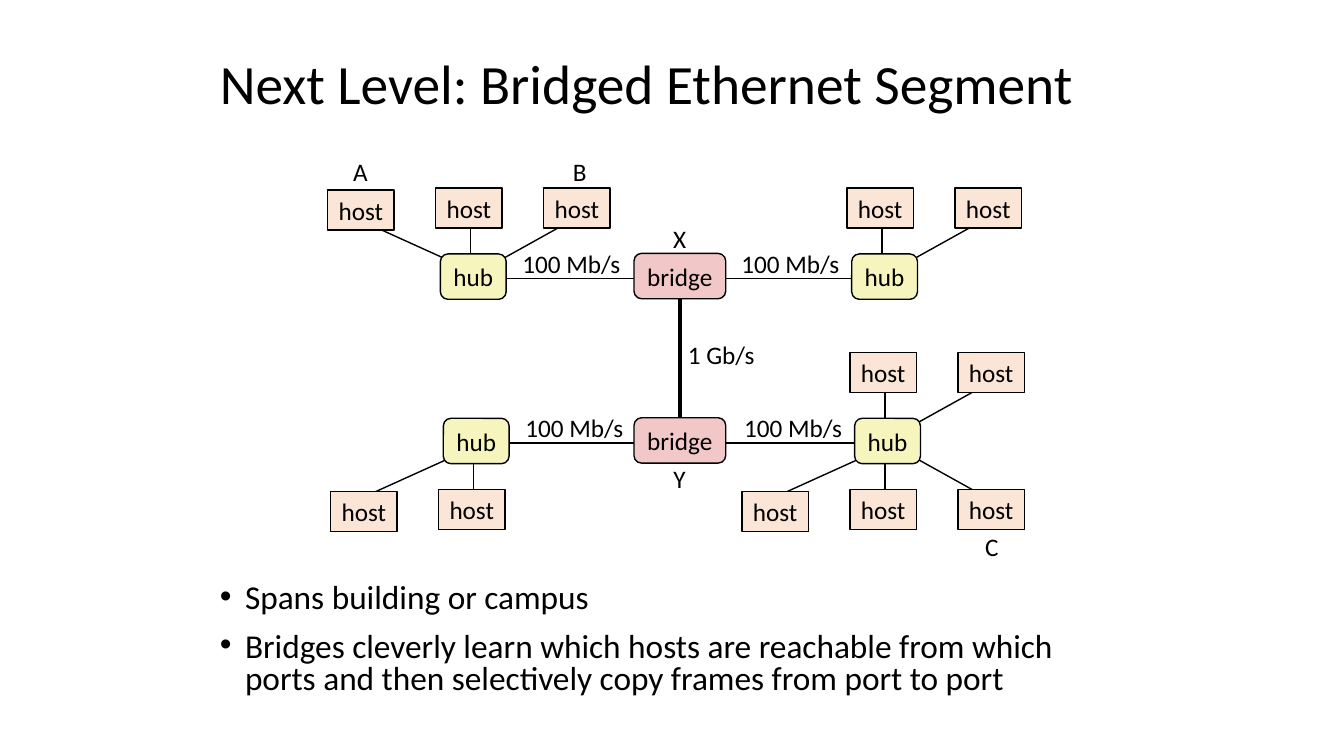
from pptx import Presentation
from pptx.dml.color import RGBColor
from pptx.enum.shapes import MSO_CONNECTOR, MSO_SHAPE
from pptx.enum.text import MSO_ANCHOR, MSO_AUTO_SIZE, PP_ALIGN
from pptx.oxml.ns import qn
from pptx.util import Pt
from lxml.etree import SubElement

BLACK = "000000"
HOST_FILL, HUB_FILL, BRIDGE_FILL = "FBE5D6", "F6F5BD", "F1C7C7"
HOST_SIZE, HUB_SIZE, BRIDGE_SIZE = (47.5, 28.8), (47, 32.4), (65.5, 32.4)
COLUMNS = {"left": (-80.3, -80.3, -14), "middle": (-3.2, -1.9, -1.9), "right": (74, 70, 16)}
HOST_DROP, LINK_START, LINK_END = 49, 40, 10


def color(hex_code):
    return RGBColor.from_string(hex_code)


def write(frame, text, size=18, align=PP_ALIGN.CENTER, anchor=MSO_ANCHOR.MIDDLE,
          wrap=False, spacing=(1,), before=(0,), indent=0):
    frame.word_wrap = wrap
    frame.auto_size = MSO_AUTO_SIZE.NONE
    frame.vertical_anchor = anchor
    frame.text = text
    for paragraph, line_spacing, gap in zip(frame.paragraphs, spacing, before):
        properties = paragraph._p.get_or_add_pPr()
        properties.set("marL", str(Pt(indent)))
        properties.set("indent", str(-Pt(indent)))
        paragraph.alignment = align
        paragraph.line_spacing = line_spacing
        paragraph.space_before = Pt(gap)
        paragraph.font.name = "Calibri"
        paragraph.font.size = Pt(size)
        paragraph.font.color.rgb = color(BLACK)


def place(item, left, top, width, height):
    item.left, item.top, item.width, item.height = map(Pt, (left, top, width, height))


def add_title(slide, box, text):
    place(slide.shapes.title, *box)
    write(slide.shapes.title.text_frame, text, size=39.6, align=PP_ALIGN.LEFT,
          wrap=True, spacing=(0.9,))


def add_points(slide, box, points):
    body = slide.placeholders[1]
    place(body, *box)
    write(body.text_frame, "\n".join(points), size=23.8, align=PP_ALIGN.LEFT,
          anchor=MSO_ANCHOR.TOP, wrap=True, spacing=(0.75, 0.8), before=(0, 12), indent=18)


def add_link(slide, x1, y1, x2, y2, weight=1):
    link = slide.shapes.add_connector(MSO_CONNECTOR.STRAIGHT, Pt(x1), Pt(y1), Pt(x2), Pt(y2))
    link.line.color.rgb = color(BLACK)
    link.line.width = Pt(weight)
    SubElement(link._element.spPr, qn("a:effectLst"))


def add_label(slide, x, y, text, width=24):
    label = slide.shapes.add_textbox(Pt(x - width / 2), Pt(y - 14.4), Pt(width), Pt(28.8))
    write(label.text_frame, text)


def add_device(slide, x, y, name, size, fill, preset=MSO_SHAPE.ROUNDED_RECTANGLE):
    width, height = size
    device = slide.shapes.add_shape(preset, Pt(x - width / 2), Pt(y - height / 2),
                                    Pt(width), Pt(height))
    if preset == MSO_SHAPE.ROUNDED_RECTANGLE:
        device.adjustments[0] = 0.167
    device.shadow.inherit = False
    device.fill.solid()
    device.fill.fore_color.rgb = color(fill)
    device.line.color.rgb = color(BLACK)
    device.line.width = Pt(1)
    write(device.text_frame, name)


def add_cluster(slide, x, y, host_rows):
    for side, columns in host_rows:
        for column in columns:
            host_dx, start_dx, end_dx = COLUMNS[column]
            host_y = y + side * HOST_DROP + (1.4 if column == "left" else 0)
            add_link(slide, x + start_dx, y + side * LINK_START,
                     x + end_dx, y + side * LINK_END)
            add_device(slide, x + host_dx, host_y, "host", HOST_SIZE, HOST_FILL,
                       MSO_SHAPE.RECTANGLE)
    add_device(slide, x, y, "hub", HUB_SIZE, HUB_FILL)


def add_segment(slide, box, bridge_x, left_hosts, right_hosts):
    left, top, width, height = box
    y = top + height / 2
    right = left + width
    for hub_x, label_x in ((left, left + 70.1), (right, right - 67.4)):
        add_link(slide, hub_x, y + 1.4, bridge_x, y + 1.4)
        add_label(slide, label_x, y - 9.7, "100 Mb/s", 86.4)
    add_cluster(slide, left, y, left_hosts)
    add_cluster(slide, right, y, right_hosts)
    add_device(slide, bridge_x, y - 0.4, "bridge", BRIDGE_SIZE, BRIDGE_FILL)


def add_network(slide, box):
    left, top, width, height = box
    bridge_x = left + width / 2
    add_link(slide, bridge_x, top + 105, bridge_x, top + 191.5, 3)
    add_segment(slide, (left + 102.5, top + 73.4, 293.8, 32.4), bridge_x,
                [(-1, ("left", "middle", "right"))], [(-1, ("middle", "right"))])
    add_segment(slide, (left + 104.6, top + 190.8, 293.8, 32.4), bridge_x,
                [(1, ("left", "middle"))],
                [(1, ("left", "middle", "right")), (-1, ("middle", "right"))])
    add_label(slide, bridge_x + 29.6, top + 145.4, "1 Gb/s", 64)
    for name, x, y in (("A", 21.8, 14.4), ("B", 178.4, 14.4), ("C", 472.9, 282.2),
                       ("X", 249.8, 62.6), ("Y", 249.8, 234)):
        add_label(slide, left + x, top + y, name)


def main():
    presentation = Presentation()
    presentation.slide_width, presentation.slide_height = Pt(960), Pt(540)
    slide = presentation.slides.add_slide(presentation.slide_layouts[1])
    add_title(slide, (149.8, 38.9, 647.3, 45.4), "Next Level: Bridged Ethernet Segment")
    add_points(slide, (149.8, 414.7, 654.5, 88.6), [
        "Spans building or campus",
        "Bridges cleverly learn which hosts are reachable from which ports "
        "and then selectively copy frames from port to port",
    ])
    add_network(slide, (235.6, 108, 500, 297))
    presentation.save("out.pptx")


if __name__ == "__main__":
    main()
